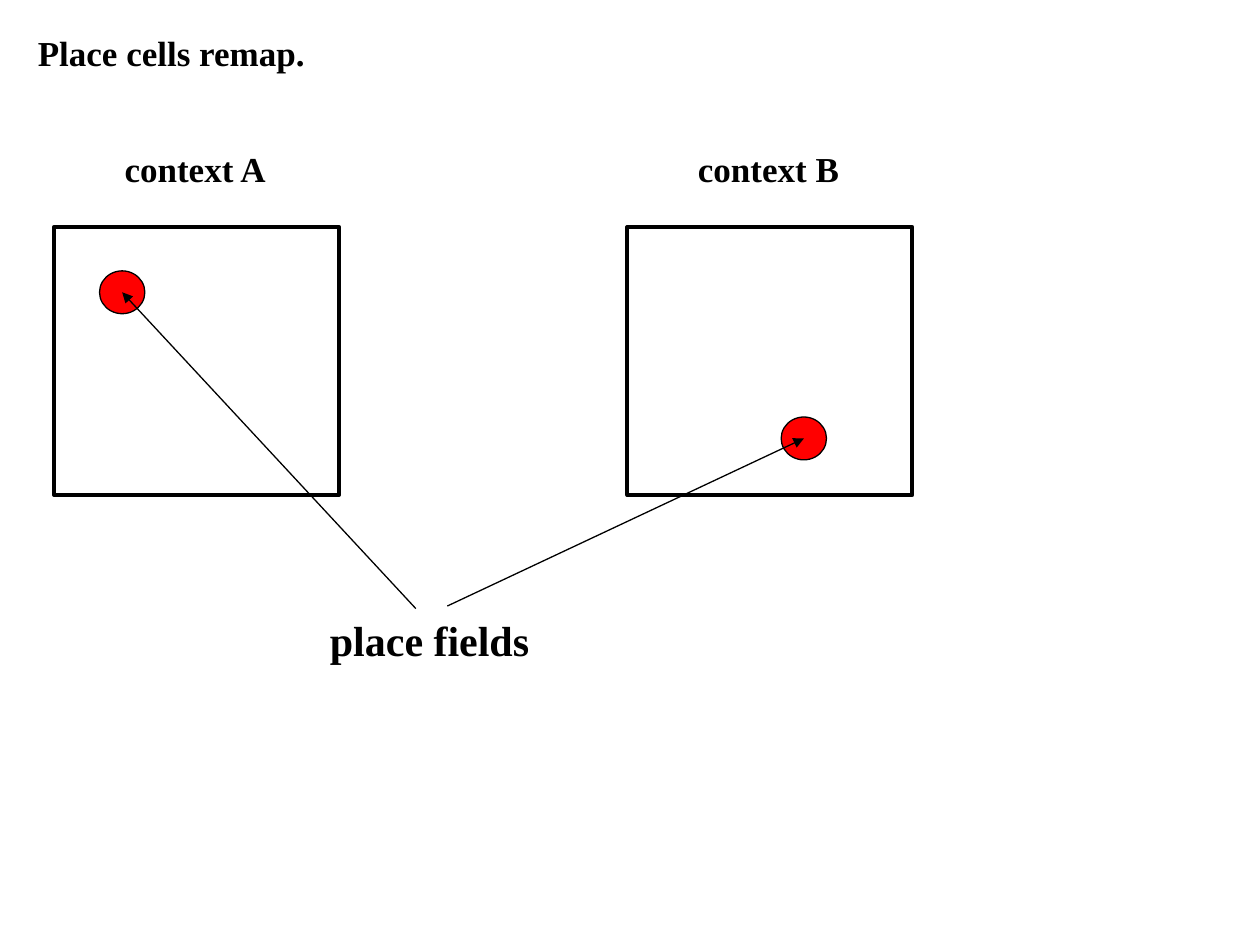
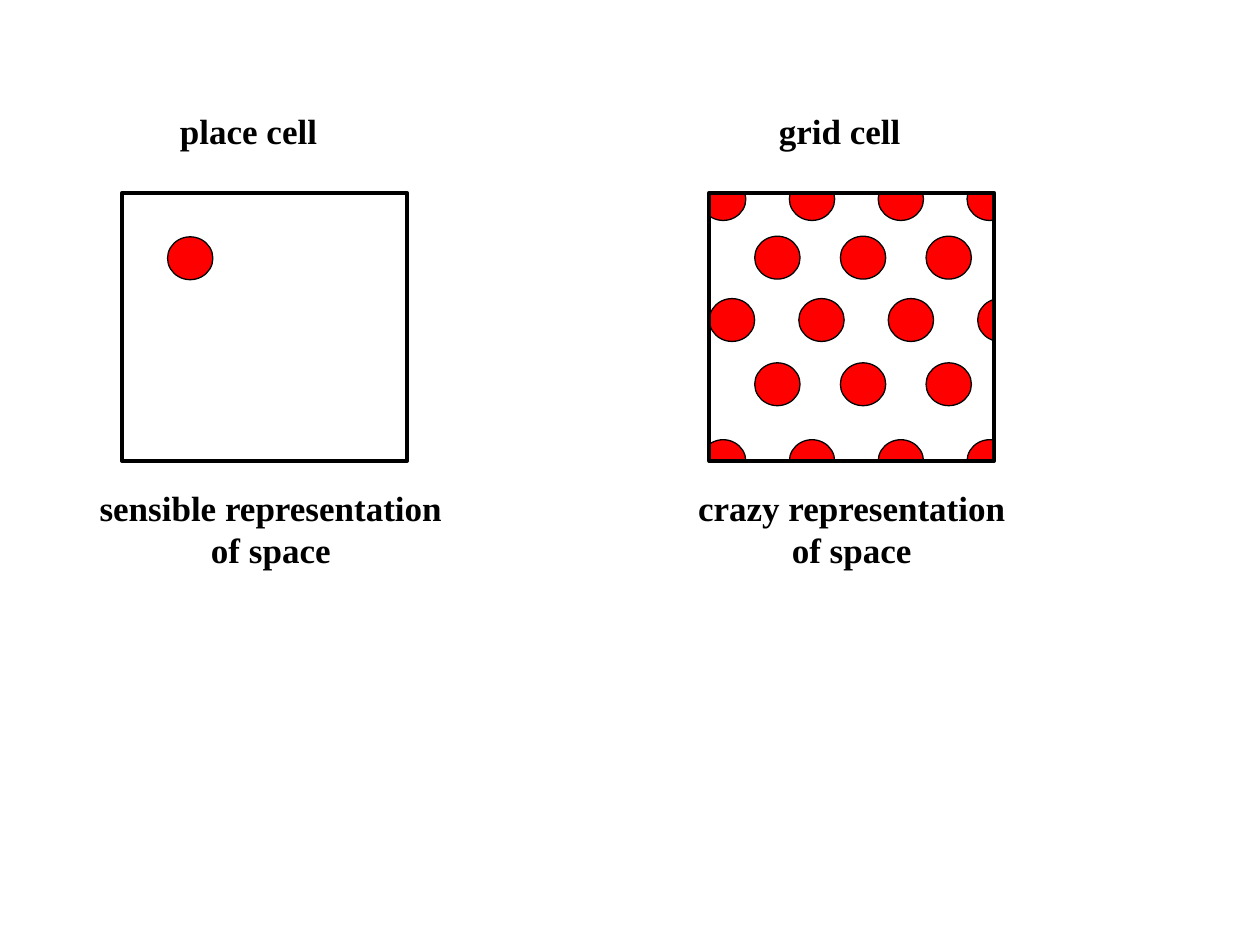
from dataclasses import dataclass

from lxml import etree
from pptx import Presentation
from pptx.dml.color import RGBColor
from pptx.enum.shapes import MSO_CONNECTOR, MSO_SHAPE
from pptx.enum.text import MSO_ANCHOR, MSO_AUTO_SIZE, PP_ALIGN
from pptx.oxml.ns import qn
from pptx.shapes.autoshape import Shape
from pptx.slide import Slide
from pptx.util import Inches, Length, Pt

RECT, OVAL = MSO_SHAPE.RECTANGLE, MSO_SHAPE.OVAL
STRAIGHT = MSO_CONNECTOR.STRAIGHT
LEFT, CENTER = PP_ALIGN.LEFT, PP_ALIGN.CENTER
TOP = MSO_ANCHOR.TOP
NO_AUTOSIZE, GROW = MSO_AUTO_SIZE.NONE, MSO_AUTO_SIZE.SHAPE_TO_FIT_TEXT
TITLE_ONLY, BLANK = 5, 6

SLIDE_W, SLIDE_H = Inches(10), Inches(7.5)
COLUMNS, ROWS = 100, 75


@dataclass(frozen=True)
class Theme:
    font: str = "Times New Roman"
    ink: RGBColor = RGBColor(0, 0, 0)
    paper: RGBColor = RGBColor(255, 255, 255)
    field: RGBColor = RGBColor(255, 0, 0)
    body: Length = Pt(20)
    large: Length = Pt(24)
    thin: Length = Pt(0.75)
    thick: Length = Pt(2.25)


THEME = Theme()


@dataclass(frozen=True)
class Box:
    """Left, top, width and height in grid columns and rows."""
    x: float
    y: float
    w: float
    h: float

    def emu(self) -> tuple[int, int, int, int]:
        return col(self.x), row(self.y), col(self.w), row(self.h)


@dataclass(frozen=True)
class Label:
    text: str
    box: Box
    align: PP_ALIGN = LEFT
    size: Length = THEME.body


@dataclass(frozen=True)
class FieldRow:
    x: float
    y: float
    count: int
    step: float


ARENA_W, ARENA_H = 22.6, 21.3
FIELD_W, FIELD_H = 3.6, 3.4
MASK_LONG, MASK_THICK, MASK_GAP = 26.8, 3, 0.1

REMAP_TITLE = Label("Place cells remap.", Box(2, 2, 93.3, 4.4))
REMAP_ARENAS = [(4.3, 18), (49.8, 18)]
REMAP_FIELDS = [(7.9, 21.5), (62, 33.1)]
ARROW_STARTS = [(33, 48.3), (35.5, 48.1)]
REMAP_LABELS = [
    Label("context A", Box(8.9, 11.2, 13.3, 4.4)),
    Label("context B", Box(54.4, 11.2, 13.3, 4.4)),
    Label("place fields", Box(25.2, 48.3, 18, 5), size=THEME.large),
]

PLACE_ARENA, GRID_ARENA = (9.7, 15.3), (56.3, 15.3)
PLACE_FIELD = (13.3, 18.8)
GRID_ROWS = [
    FieldRow(55.6, 14.1, 4, 7.05),
    FieldRow(59.9, 18.75, 3, 6.8),
    FieldRow(56.3, 23.7, 4, 7.1),
    FieldRow(59.9, 28.8, 3, 6.8),
    FieldRow(55.6, 34.9, 4, 7.05),
]
CELL_LABELS = [
    Label("place cell", Box(13.3, 8.2, 13, 4.4)),
    Label("grid cell", Box(60.8, 8.2, 11.7, 4.4), CENTER),
    Label("sensible representation\nof space", Box(6.8, 38.1, 29.4, 7.7), CENTER),
    Label("crazy representation\nof space", Box(54.3, 38.1, 26.6, 7.7), CENTER),
]


def col(n: float) -> int:
    return round(SLIDE_W * n / COLUMNS)


def row(n: float) -> int:
    return round(SLIDE_H * n / ROWS)


def write(sp: Shape, label: Label) -> None:
    tf = sp.text_frame
    tf.text = label.text
    tf.vertical_anchor = TOP
    for p in tf.paragraphs:
        p.alignment = label.align
        for r in p.runs:
            r.font.name, r.font.size, r.font.bold = THEME.font, label.size, True
            r.font.color.rgb = THEME.ink


def add_title(s: Slide, label: Label) -> None:
    sp = s.shapes.title
    sp.left, sp.top, sp.width, sp.height = label.box.emu()
    write(sp, label)
    sp.text_frame.auto_size = NO_AUTOSIZE


def add_label(s: Slide, label: Label) -> None:
    sp = s.shapes.add_textbox(*label.box.emu())
    write(sp, label)
    sp.text_frame.word_wrap = False
    sp.text_frame.auto_size = GROW


def add_figure(s: Slide, kind: MSO_SHAPE, box: Box, fill: RGBColor | None = None,
               line: RGBColor = THEME.ink, weight: Length = THEME.thin) -> None:
    sp = s.shapes.add_shape(kind, *box.emu())
    sp.shadow.inherit = False
    if fill is None:
        sp.fill.background()
    else:
        sp.fill.solid()
        sp.fill.fore_color.rgb = fill
    sp.line.color.rgb = line
    sp.line.width = weight


def add_arena(s: Slide, x: float, y: float) -> None:
    add_figure(s, RECT, Box(x, y, ARENA_W, ARENA_H), weight=THEME.thick)


def add_field(s: Slide, x: float, y: float) -> None:
    add_figure(s, OVAL, Box(x, y, FIELD_W, FIELD_H), THEME.field)


def add_masks(s: Slide, x: float, y: float) -> None:
    """Cover whatever sticks out on the four sides of an arena."""
    mask_x = x + (ARENA_W - MASK_LONG) / 2
    mask_y = y + (ARENA_H - MASK_LONG) / 2
    before = MASK_THICK + MASK_GAP
    for top in (y - before, y + ARENA_H + MASK_GAP):
        add_figure(s, RECT, Box(mask_x, top, MASK_LONG, MASK_THICK),
                   THEME.paper, THEME.paper)
    for left in (x - before, x + ARENA_W + MASK_GAP):
        add_figure(s, RECT, Box(left, mask_y, MASK_THICK, MASK_LONG),
                   THEME.paper, THEME.paper)


def add_arrow(s: Slide, start: tuple[float, float], field: tuple[float, float]) -> None:
    """Draw an arrow from a point to the centre of a field."""
    end_x, end_y = field[0] + FIELD_W / 2, field[1] + FIELD_H / 2
    cxn = s.shapes.add_connector(STRAIGHT, col(start[0]), row(start[1]),
                                 col(end_x), row(end_y))
    cxn.line.color.rgb = THEME.ink
    cxn.line.width = THEME.thin
    sp_pr = cxn.element.spPr
    etree.SubElement(sp_pr.find(qn("a:ln")), qn("a:tailEnd"), type="triangle")
    etree.SubElement(sp_pr, qn("a:effectLst"))


def build_remap(prs: Presentation) -> None:
    s = prs.slides.add_slide(prs.slide_layouts[TITLE_ONLY])
    add_title(s, REMAP_TITLE)
    for arena in REMAP_ARENAS:
        add_arena(s, *arena)
    for field in REMAP_FIELDS:
        add_field(s, *field)
    for start, field in zip(ARROW_STARTS, REMAP_FIELDS):
        add_arrow(s, start, field)
    for label in REMAP_LABELS:
        add_label(s, label)


def build_cell_types(prs: Presentation) -> None:
    s = prs.slides.add_slide(prs.slide_layouts[BLANK])
    add_arena(s, *PLACE_ARENA)
    add_field(s, *PLACE_FIELD)
    for line in GRID_ROWS:
        for i in range(line.count):
            add_field(s, line.x + i * line.step, line.y)
    add_masks(s, *GRID_ARENA)
    add_arena(s, *GRID_ARENA)
    for label in CELL_LABELS:
        add_label(s, label)


def main() -> None:
    prs = Presentation()
    prs.slide_width, prs.slide_height = SLIDE_W, SLIDE_H
    build_remap(prs)
    build_cell_types(prs)
    prs.save("out.pptx")


if __name__ == "__main__":
    main()
